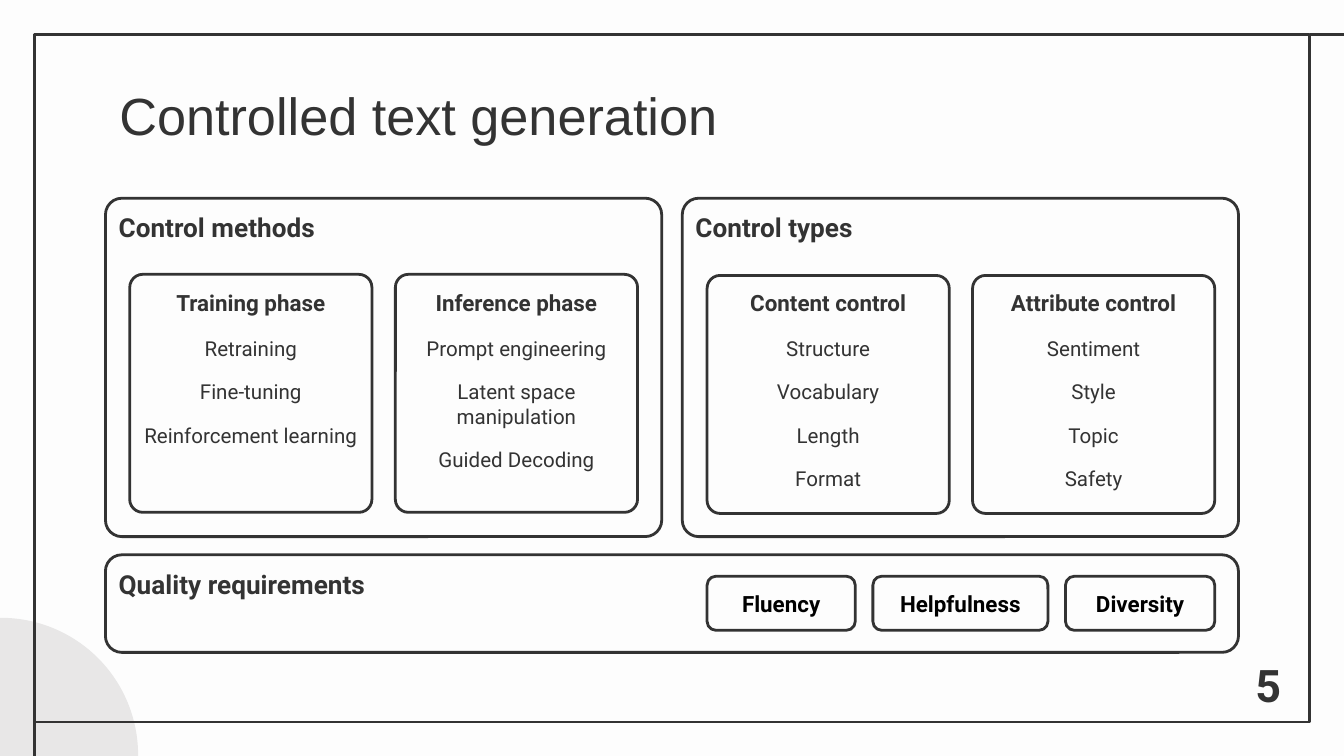
"""Build the slide on controlled text generation."""
from dataclasses import dataclass

from lxml.etree import SubElement
from pptx import Presentation
from pptx.dml.color import RGBColor
from pptx.enum.shapes import MSO_CONNECTOR, MSO_SHAPE
from pptx.enum.text import MSO_ANCHOR, PP_ALIGN
from pptx.oxml.ns import qn
from pptx.util import Pt


@dataclass(frozen=True)
class Theme:
    paper: RGBColor = RGBColor(0xFD, 0xFD, 0xFD)
    ink: RGBColor = RGBColor(0x33, 0x33, 0x33)
    black: RGBColor = RGBColor(0, 0, 0)
    accent: RGBColor = RGBColor(0xE8, 0xE7, 0xE7)
    title_font: str = "Arial"
    font: str = "Roboto"
    title: float = 28
    number: float = 24
    heading: float = 14
    label: float = 12
    item: float = 11
    line: float = 1.5
    inset: float = 7.2
    gap: float = 10
    radius: float = 8.8


class SlideBuilder:
    def __init__(self, page, theme):
        self.page = page
        self.theme = theme
        page.background.fill.solid()
        page.background.fill.fore_color.rgb = theme.paper

    def shape(self, kind, left, top, width, height, fill=None, outlined=True):
        shape = self.page.shapes.add_shape(kind, Pt(left), Pt(top), Pt(width), Pt(height))
        shape.shadow.inherit = False
        if fill is None:
            shape.fill.background()
        else:
            shape.fill.solid()
            shape.fill.fore_color.rgb = fill
        if outlined:
            shape.line.color.rgb = self.theme.ink
            shape.line.width = Pt(self.theme.line)
        else:
            shape.line.fill.background()
        return shape

    def line(self, start, end):
        line = self.page.shapes.add_connector(
            MSO_CONNECTOR.STRAIGHT, *(Pt(value) for value in (*start, *end)))
        line.line.color.rgb = self.theme.ink
        line.line.width = Pt(self.theme.line)
        SubElement(line._element.spPr, qn("a:effectLst"))

    def rounded(self, left, top, width, height, radius):
        shape = self.shape(MSO_SHAPE.ROUNDED_RECTANGLE, left, top, width, height, self.theme.paper)
        shape.adjustments[0] = radius / min(width, height)
        return shape

    def fill_text(self, shape, lines, size, bold=False, align=PP_ALIGN.CENTER,
                  color=None, font=None, anchor=MSO_ANCHOR.TOP):
        theme, frame = self.theme, shape.text_frame
        frame.word_wrap = True
        frame.vertical_anchor = anchor
        frame.margin_left = frame.margin_right = Pt(theme.inset)
        frame.margin_top = frame.margin_bottom = Pt(theme.inset)
        for index, line in enumerate(lines):
            para = frame.add_paragraph() if index else frame.paragraphs[0]
            para.text = line
            para.alignment = align
            if index:
                para.space_before = Pt(theme.gap)
            para.font.name = font or theme.font
            para.font.size = Pt(size)
            para.font.bold = bold
            para.font.color.rgb = color or theme.ink

    def text(self, left, top, width, height, lines, size, **style):
        box = self.page.shapes.add_textbox(Pt(left), Pt(top), Pt(width), Pt(height))
        self.fill_text(box, lines, size, **style)

    def panel(self, left, top, width, height, heading):
        self.rounded(left, top, width, height, self.theme.radius)
        self.text(left, top, 298, 31.5, [heading], self.theme.heading,
                  bold=True, align=PP_ALIGN.LEFT)

    def card(self, left, top, heading, items):
        self.rounded(left, top, 129.75, 127.5, 7)
        self.text(left, 147.5, 129.75, 28.5, [heading], self.theme.label, bold=True)
        self.text(left, 172.8, 129.75, 28 + 23 * (len(items) - 1), items, self.theme.item)

    def pill(self, left, width, label):
        pill = self.rounded(left, 308.7, width, 29, 4.8)
        self.fill_text(pill, [label], self.theme.label, bold=True,
                       color=self.theme.black, anchor=MSO_ANCHOR.MIDDLE)


def main():
    deck = Presentation()
    deck.slide_width, deck.slide_height = Pt(720), Pt(405)
    theme = Theme()
    slide = SlideBuilder(deck.slides.add_slide(deck.slide_layouts[6]), theme)

    slide.shape(MSO_SHAPE.OVAL, -73, 331, 147, 147, theme.accent, outlined=False)
    slide.shape(MSO_SHAPE.RECTANGLE, 18.3, 18.3, 683.3, 368.5)
    slide.line((720, 18.3), (701.6, 18.3))
    slide.line((18.3, 405), (18.3, 386.8))
    slide.text(56.9, 37.5, 607, 45.4, ["Controlled text generation"], theme.title,
               font=theme.title_font, align=PP_ALIGN.LEFT)

    slide.panel(56.5, 106.2, 298, 181.3, "Control methods")
    slide.panel(365.5, 106.2, 298, 181.3, "Control types")
    slide.panel(56.5, 297.2, 607, 52.3, "Quality requirements")

    cards = [
        (69.5, 147, "Training phase", ["Retraining", "Fine-tuning", "Reinforcement learning"]),
        (211.8, 147, "Inference phase",
         ["Prompt engineering", "Latent space manipulation", "Guided Decoding"]),
        (378.8, 147.6, "Content control", ["Structure", "Vocabulary", "Length", "Format"]),
        (521, 147.6, "Attribute control", ["Sentiment", "Style", "Topic", "Safety"]),
    ]
    for left, top, heading, items in cards:
        slide.card(left, top, heading, items)

    left = 378.8
    for label, width in (("Fluency", 79.4), ("Helpfulness", 93.8), ("Diversity", 80)):
        slide.pill(left, width, label)
        left += width + 9.4

    slide.text(663, 345, 33, 36.7, ["5"], theme.number, bold=True)
    deck.save("out.pptx")


if __name__ == "__main__":
    main()
